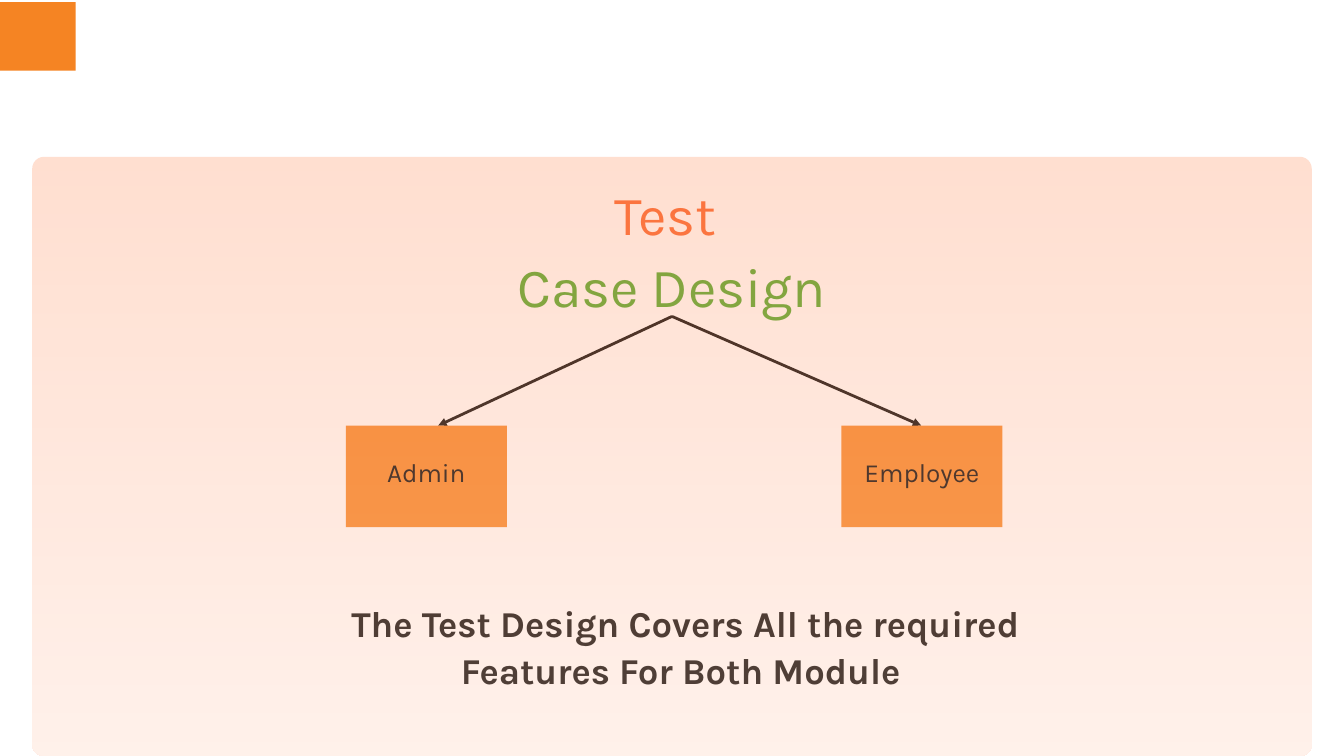
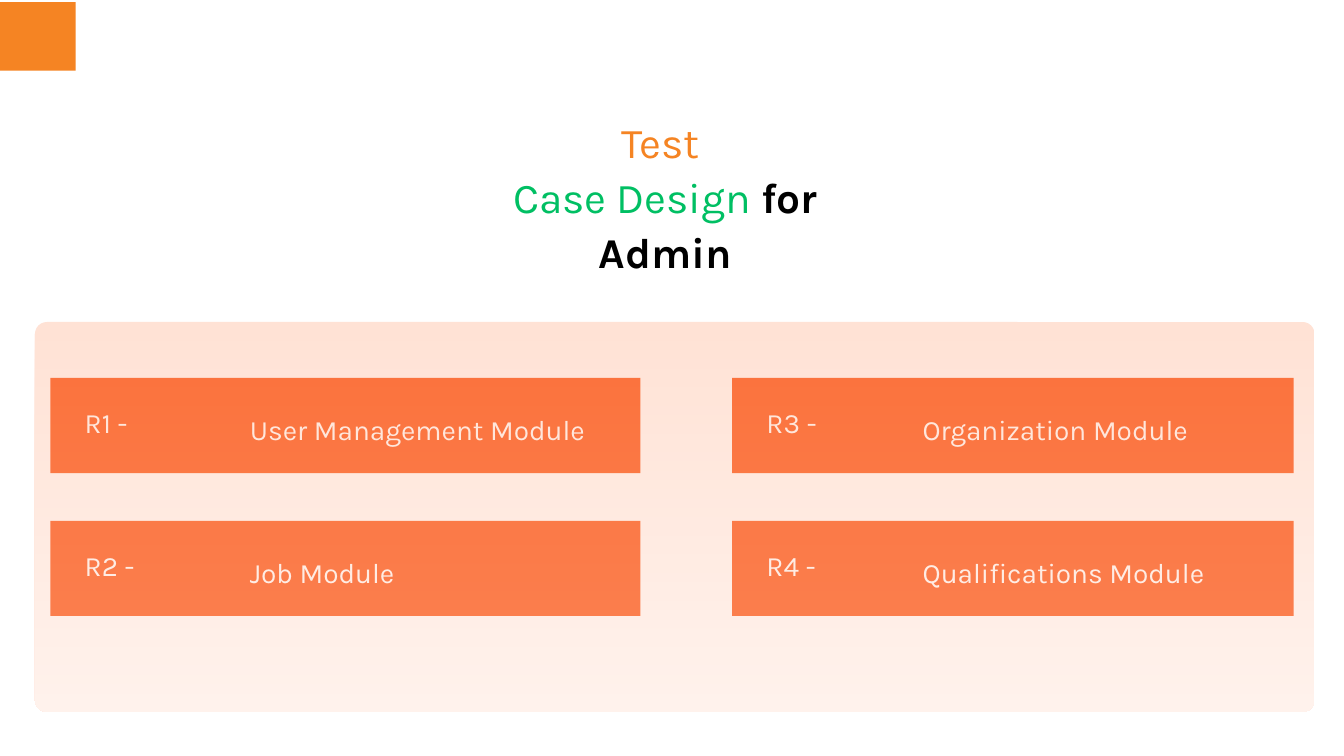
from lxml.etree import SubElement
from pptx import Presentation
from pptx.dml.color import RGBColor
from pptx.enum.shapes import MSO_CONNECTOR, MSO_SHAPE
from pptx.enum.text import MSO_ANCHOR, MSO_AUTO_SIZE, PP_ALIGN
from pptx.oxml.ns import qn
from pptx.util import Pt

PX = 9525  # EMU in one px, 96 px to the inch
WIDTH, HEIGHT = 1920, 1080
FONT = "Karla"
RADIUS = 17

BLACK = RGBColor(0, 0, 0)
WHITE = RGBColor(255, 255, 255)
AMBER = RGBColor(0xF5, 0x84, 0x23)
CORAL = RGBColor(0xFA, 0x63, 0x2A)
LEAF = RGBColor(0x4C, 0xA6, 0x26)
MINT = RGBColor(0x00, 0xBF, 0x63)
PEACH = RGBColor(0xFF, 0x98, 0x69)
CREAM = RGBColor(0xFF, 0xD2, 0xBD)


def emu(*sizes):
    return [size * PX for size in sizes]


def write(frame, lines, size, lead, align=PP_ALIGN.CENTER,
          anchor=MSO_ANCHOR.TOP, insets=(0, 0, 0, 0)):
    """Fill a frame; each line is a list of (text, colour, bold) runs."""
    left, top, right, bottom = emu(*insets)
    setup = {"word_wrap": True, "auto_size": MSO_AUTO_SIZE.NONE,
             "vertical_anchor": anchor, "margin_left": left,
             "margin_top": top, "margin_right": right,
             "margin_bottom": bottom}
    for name, value in setup.items():
        setattr(frame, name, value)
    for index, runs in enumerate(lines):
        para = frame.add_paragraph() if index else frame.paragraphs[0]
        para.alignment = align
        para.line_spacing = Pt(lead)
        for text, colour, bold in runs:
            run = para.add_run()
            run.text = text
            style = {"name": FONT, "size": Pt(size), "bold": bold}
            for name, value in style.items():
                setattr(run.font, name, value)
            run.font.color.rgb = colour


def add_title(slide, place, lines, size, lead):
    title = slide.shapes.title
    for name, value in zip(("left", "top", "width", "height"), emu(*place)):
        setattr(title, name, value)
    write(title.text_frame, lines, size, lead)


def add_label(slide, place, text, size, lead, colour,
              bold=False, align=PP_ALIGN.LEFT):
    box = slide.shapes.add_textbox(*emu(*place))
    write(box.text_frame, [[(text, colour, bold)]], size, lead, align)


def add_block(slide, place, colour, kind=MSO_SHAPE.RECTANGLE):
    block = slide.shapes.add_shape(kind, *emu(*place))
    block.shadow.inherit = False
    block.line.fill.background()
    block.fill.solid()
    block.fill.fore_color.rgb = colour
    return block


def add_tab(slide):
    add_block(slide, (0, 3, 108, 98), AMBER)


def add_panel(slide, place, alpha):
    """Lay a see-through rounded gradient, alpha in percent, over the slide."""
    panel = add_block(slide, place, PEACH, MSO_SHAPE.ROUNDED_RECTANGLE)
    panel.adjustments[0] = RADIUS / min(place[2:])
    panel.fill.gradient()
    panel.fill.gradient_angle = 270
    for stop, colour in zip(panel.fill.gradient_stops, (PEACH, CREAM)):
        stop.color.rgb = colour
    for tint in panel._element.spPr.iter(qn("a:srgbClr")):
        SubElement(tint, qn("a:alpha"), val=str(alpha * 1000))


def add_arrow(slide, start, end):
    arrow = slide.shapes.add_connector(
        MSO_CONNECTOR.STRAIGHT, *emu(*start, *end))
    arrow.line.width = Pt(3)
    arrow.line.color.rgb = BLACK
    SubElement(arrow.line._get_or_add_ln(), qn("a:tailEnd"), type="triangle")
    SubElement(arrow._element.spPr, qn("a:effectLst"))


def add_role(slide, left, text):
    role = add_block(slide, (left, 608, 230, 145), AMBER)
    write(role.text_frame, [[(text, BLACK, False)]], 28, 36.4,
          anchor=MSO_ANCHOR.MIDDLE, insets=(6, 6, 6, 21))


def add_card(slide, left, top, width, indent, code, name):
    add_block(slide, (left, top, width, 136), CORAL)
    add_label(slide, (left + 49, top + 36, 209, 52), code, 30, 39, WHITE)
    add_label(slide, (left + indent, top + 45, 507, 52), name, 30, 39, WHITE)


def build_design(slide):
    add_title(slide, (606, 250, 708, 203),
              [[("Test ", CORAL, False)], [("Case Design", LEAF, False)]],
              59.1, 76.8)
    for tip in (1316, 626):
        add_arrow(slide, (960, 452), (tip, 608))
    add_tab(slide)
    add_role(slide, 494, "Admin")
    add_role(slide, 1202, "Employee")
    add_label(slide, (494, 853, 970, 133),
              "The Test Design Covers All the required "
              "Features For Both Module ",
              39, 50.7, BLACK, True, PP_ALIGN.CENTER)
    add_panel(slide, (46, 224, 1828, 856), 31)


def build_admin(slide):
    add_title(slide, (732, 160, 437, 234),
              [[("Test ", AMBER, False)],
               [("Case Design ", MINT, False), ("for Admin", BLACK, True)]],
              45.5, 59.1)
    columns = [
        (72, 843, 285, ("User Management Module", "Job Module")),
        (1046, 802, 272, ("Organization Module", "Qualifications Module")),
    ]
    number = 0
    for left, width, indent, names in columns:
        for row, name in enumerate(names):
            number += 1
            add_card(slide, left, 540 + row * 204, width, indent,
                     f"R{number} -", name)
    add_panel(slide, (50, 460, 1828, 557), 27)
    add_tab(slide)


def main():
    deck = Presentation()
    deck.slide_width, deck.slide_height = emu(WIDTH, HEIGHT)
    layout = deck.slide_layouts.get_by_name("Title Only")
    for build in (build_design, build_admin):
        build(deck.slides.add_slide(layout))
    deck.save("out.pptx")


if __name__ == "__main__":
    main()
